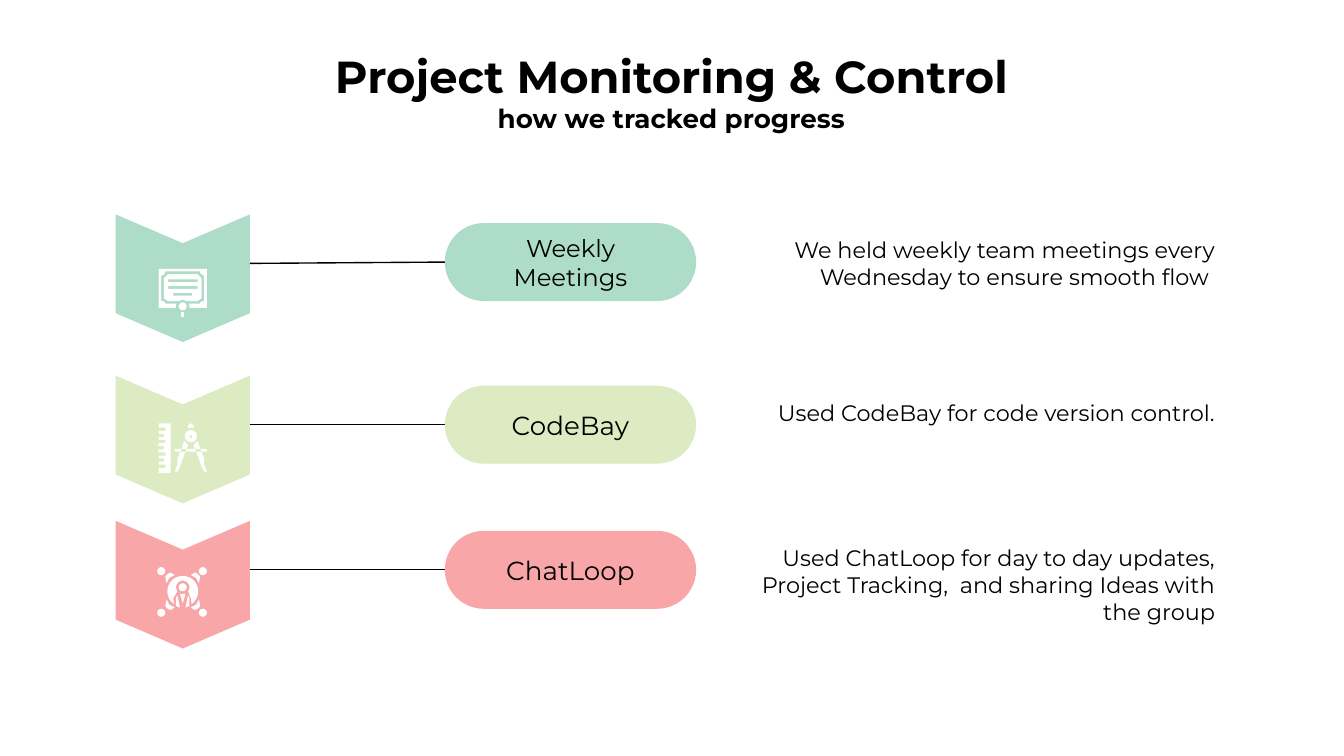
from math import cos, radians, sin

from lxml import etree
from pptx import Presentation
from pptx.dml.color import RGBColor
from pptx.enum.shapes import MSO_CONNECTOR as Line, MSO_SHAPE as Shape
from pptx.enum.text import MSO_ANCHOR as Anchor, PP_ALIGN as Align
from pptx.oxml.ns import qn
from pptx.util import Inches, Pt

MINT = RGBColor(0xAD, 0xDC, 0xC8)
LIME = RGBColor(0xDC, 0xEB, 0xC2)
PINK = RGBColor(0xF8, 0xA6, 0xA8)
WHITE = RGBColor(0xFF, 0xFF, 0xFF)
BLACK = RGBColor(0, 0, 0)
FONT = "Montserrat"

# Columns of the grid: left edge and width, in inches
BADGE_COL = (0.86, 1.0)
PILL_COL = (3.31, 1.87)
TEXT_COL = (5.49, 3.65)
ROW_H = 0.58
BADGE_H = 0.95
ICON_UNIT = 0.01

# Row top, badge top, colour, label, label size, description
ROWS = [
    (1.66, 1.57, MINT, "Weekly Meetings", 13,
     "We held weekly team meetings every Wednesday to ensure smooth flow "),
    (2.87, 2.77, LIME, "CodeBay", 14, "Used CodeBay for code version control."),
    (3.95, 3.85, PINK, "ChatLoop", 14,
     "Used ChatLoop for day to day updates, Project Tracking,  and sharing Ideas with the group"),
]


def paint(shape, color):
    shape.shadow.inherit = False
    shape.fill.solid()
    shape.fill.fore_color.rgb = color
    shape.line.fill.background()


def write(shape, runs, align, anchor):
    """Fill one paragraph with (text, size, bold) runs, one line each."""
    tf = shape.text_frame
    tf.word_wrap = True
    tf.vertical_anchor = anchor
    tf.margin_left = tf.margin_right = tf.margin_top = tf.margin_bottom = Inches(0.1)
    p = tf.paragraphs[0]
    p.alignment = align
    for i, (text, size, bold) in enumerate(runs):
        if i:
            p.add_line_break()
        r = p.add_run()
        r.text = text
        r.font.name, r.font.size, r.font.bold = FONT, Pt(size), bold
        r.font.color.rgb = BLACK


def add_text(s, x, y, w, h, runs, align):
    box = s.shapes.add_textbox(Inches(x), Inches(y), Inches(w), Inches(h))
    write(box, runs, align, Anchor.TOP)


def add_badge(s, top, color):
    x, w = BADGE_COL
    # The chevron is turned, so its length lies along the vertical
    sp = s.shapes.add_shape(Shape.CHEVRON, Inches(x + (w - BADGE_H) / 2),
                            Inches(top), Inches(BADGE_H), Inches(w))
    sp.rotation = 90
    sp.adjustments[0] = 0.226
    paint(sp, color)


def add_pill(s, top, color, label, size):
    x, w = PILL_COL
    sp = s.shapes.add_shape(Shape.ROUNDED_RECTANGLE, Inches(x), Inches(top),
                            Inches(w), Inches(ROW_H))
    sp.adjustments[0] = 0.5
    paint(sp, color)
    write(sp, [(label, size, False)], Align.CENTER, Anchor.MIDDLE)


def add_link(s, top, badge_top):
    """Join the middle of a pill to the side of its badge."""
    line = s.shapes.add_connector(
        Line.STRAIGHT, Inches(PILL_COL[0]), Inches(top + ROW_H / 2),
        Inches(sum(BADGE_COL)), Inches(badge_top + 0.39))
    line.line.color.rgb = BLACK
    line.line.width = Pt(0.75)
    etree.SubElement(line._element.spPr, qn("a:effectLst"))


def arc(cx, cy, radius, start, end):
    """Points along an arc; degrees run clockwise from the right."""
    steps = 24
    angles = [radians(start + (end - start) * i / steps) for i in range(steps + 1)]
    return [(cx + radius * cos(a), cy + radius * sin(a)) for a in angles]


def box(x1, y1, x2, y2):
    return [(x1, y1), (x2, y1), (x2, y2), (x1, y2)]


def mirror(points, axis):
    return [(2 * axis - x, y) for x, y in reversed(points)]


def flip(points, axis):
    return [(x, 2 * axis - y) for x, y in points]


def add_outline(s, origin, *contours):
    """Draw a white outline in icon units; later contours are holes."""
    tenths = [[(x * 10, y * 10) for x, y in c] for c in contours]
    builder = s.shapes.build_freeform(*tenths[0][0], scale=Inches(ICON_UNIT) / 10)
    builder.add_line_segments(tenths[0][1:], close=True)
    for hole in tenths[1:]:
        builder.move_to(*hole[0])
        builder.add_line_segments(hole[1:], close=True)
    paint(builder.convert_to_shape(*map(Inches, origin)), WHITE)


def add_pair(s, origin, points, axis):
    for side in (points, mirror(points, axis)):
        add_outline(s, origin, side)


def add_dot(s, origin, x, y, size=6):
    left, top = origin[0] + x * ICON_UNIT, origin[1] + y * ICON_UNIT
    side = Inches(size * ICON_UNIT)
    paint(s.shapes.add_shape(Shape.OVAL, Inches(left), Inches(top), side, side), WHITE)


def add_certificate(s, origin):
    axis = 18
    frame = [(0, 0), (0, 29), (13, 29), (13, 26), (5, 26), (5, 25), (3, 24),
             (2, 24), (2, 5), (3, 5), (5, 3), (5, 2)]
    panel = [(7, 4), (4, 7), (4, 22), (7, 24), (15, 24), (18, 23)]
    add_outline(s, origin, panel + mirror(panel, axis), box(7, 8, 29, 10),
                box(7, 13, 29, 15), box(11, 18, 25, 20))
    add_outline(s, origin, frame + mirror(frame, axis))
    add_dot(s, origin, 15, 25)
    add_outline(s, origin, box(17, 32, 19, 36))


def add_ruler_and_compass(s, origin):
    axis = 24
    ruler = [(9, 37), (9, 0), (0, 0)]
    for i in range(7):
        top, depth = 3.2 + 4.6 * i, 4 if i % 2 else 5
        ruler += [(0, top), (depth, top), (depth, top + 2.4), (0, top + 2.4)]
    add_outline(s, origin, ruler + [(0, 37)])
    add_outline(s, origin, arc(axis, 9.5, 4.5, 0, 360), box(23, 9, 25, 11))
    add_outline(s, origin, [(22, 4), (22, 2), (23, 0.5), (24, 0), (25, 0.5),
                            (26, 2), (26, 4), (24, 3)])
    for part in ([(19, 13), (22, 16), (21, 19), (17, 19)],
                 [(16, 21), (20, 21), (16, 32), (14, 36), (12, 36), (14, 31), (14, 27)],
                 [(12, 19), (17, 19), (16, 21), (12, 21)]):
        add_pair(s, origin, part, axis)
    add_outline(s, origin, [(21, 19), (27, 19), (28, 21), (20, 21)])


def add_network(s, origin):
    cx, cy = 19, 18
    arm = [(28, 4), (25, 6), (29, 8), (31, 12), (32, 7), (30, 5)]
    for part in (arm, flip(arm, cy)):
        add_pair(s, origin, part, cx)
    for x in (0, 31):
        for y in (0, 31):
            add_dot(s, origin, x, y)
    add_outline(s, origin, arc(cx, cy, 11.5, 125, 415) + [(25, 23), (23, 18)]
                + arc(cx, 15, 5, 30, -210) + [(15, 18), (12, 23)])
    add_dot(s, origin, 16, 12)
    add_pair(s, origin, [(14, 23), (15, 21), (17, 30), (14, 29)], cx)
    add_outline(s, origin, [(17, 20), (21, 20), (19, 27)])


def main():
    prs = Presentation()
    prs.slide_width = Inches(10)
    prs.slide_height = prs.slide_width * 9 // 16
    s = prs.slides.add_slide(prs.slide_layouts[6])
    add_text(s, 0.49, 0.26, 9.01, 0.8,
             [("Project Monitoring & Control", 24, True),
              ("how we tracked progress", 14, True)], Align.CENTER)
    for top, badge_top, color, label, size, description in ROWS:
        add_badge(s, badge_top, color)
        add_link(s, top, badge_top)
        add_pill(s, top, color, label, size)
        add_text(s, TEXT_COL[0], top, TEXT_COL[1], ROW_H,
                 [(description, 12, False)], Align.RIGHT)
    add_certificate(s, (1.18, 2.0))
    add_ruler_and_compass(s, (1.18, 3.15))
    add_network(s, (1.17, 4.22))
    prs.save("out.pptx")


if __name__ == "__main__":
    main()
